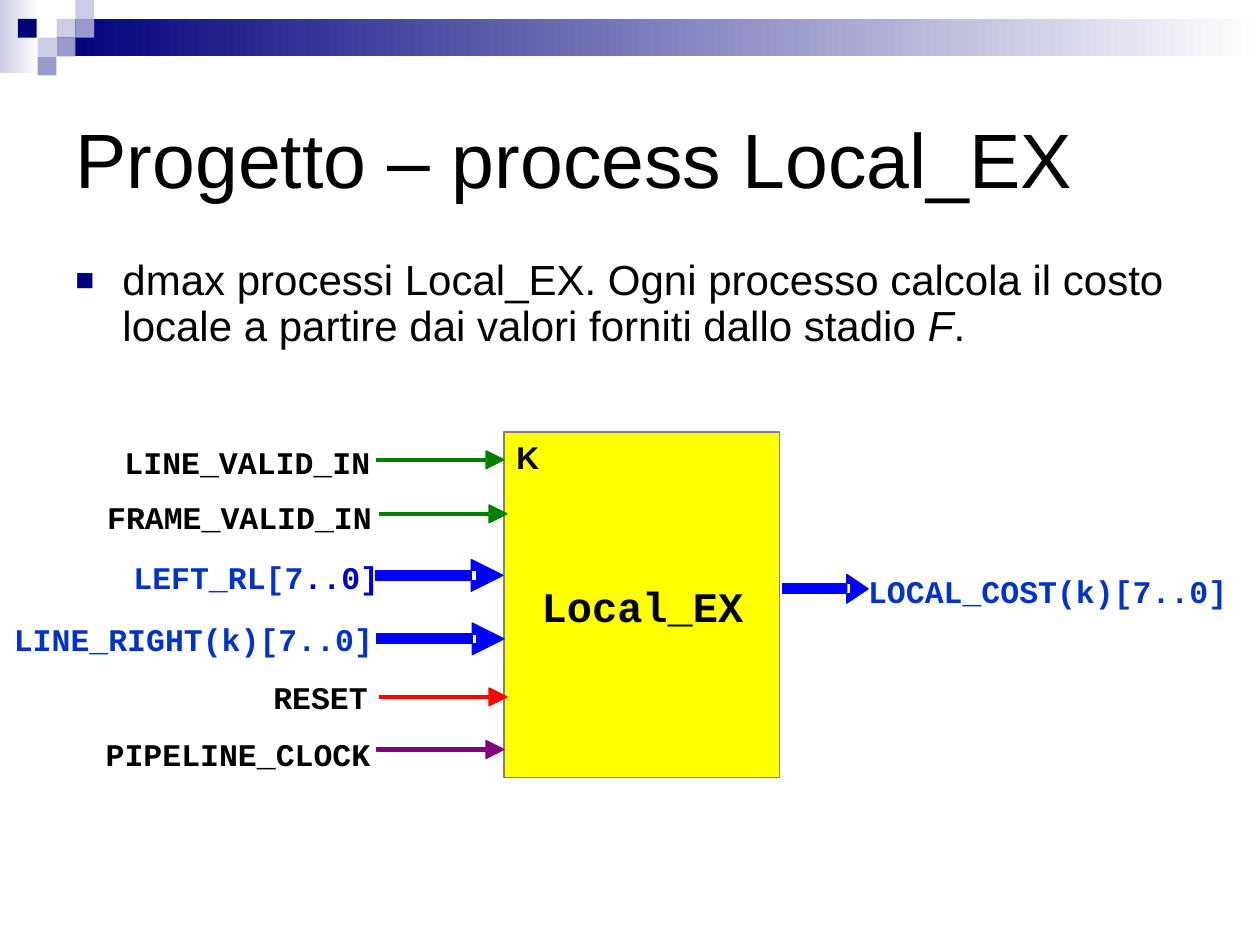
from lxml import etree
from pptx import Presentation
from pptx.dml.color import RGBColor
from pptx.enum.shapes import MSO_SHAPE
from pptx.enum.text import MSO_ANCHOR, PP_ALIGN
from pptx.oxml.ns import qn
from pptx.util import Cm, Pt

RECT = MSO_SHAPE.RECTANGLE
TOP, MIDDLE = MSO_ANCHOR.TOP, MSO_ANCHOR.MIDDLE
LEFT = PP_ALIGN.LEFT
SANS, MONO = "Arial", "Courier New"
BLACK, NAVY, PALE, LILAC, WHITE = "000000", "00007D", "CCCCE6", "9999CC", "FFFFFF"
GREEN, BLUE, RED, PURPLE = "008000", "0000FF", "FF0000", "800080"
SKY, DEEP = "0033CC", "0000CC"
UNIT = 0.38
CHAR = 0.381

THIN = (2.57, 0.36, 0.04, 0.03, 0.18)
THICK = (2.57, 0.64, 0.1, 0.1, 0.32)
SHORT = (1.73, 0.43, 0.07, 0.1, 0.29)

TILES = [(1.14, 1, PALE), (1.52, 0, PALE), (1.52, 1, LILAC), (0.76, 2, PALE),
         (0.36, 1, NAVY), (1.14, 2, LILAC), (0.76, 3, LILAC)]

PORTS = [
    ([("LINE_VALID_IN", BLACK)], 2.51, 8.94, 7.59, 9.27, THIN, GREEN),
    ([("FRAME_VALID_IN", BLACK)], 2.16, 10.03, 7.65, 10.36, THIN, GREEN),
    ([("LEFT_RL[7", SKY), ("..0]", DEEP)], 2.69, 11.25, 7.57, 11.6, THICK, BLUE),
    ([("LINE_RIGHT(k)[7..0]", SKY)], 0.28, 12.5, 7.59, 12.88, THICK, BLUE),
    ([("RESET", BLACK)], 5.51, 13.67, 7.65, 14.05, THIN, RED),
    ([("PIPELINE_CLOCK", BLACK)], 2.13, 14.81, 7.59, 15.11, THIN, PURPLE),
    ([("LOCAL_COST(k)[7..0]", SKY)], 17.5, 11.53, 15.77, 11.87, SHORT, BLUE),
]


def paint(target, color):
    """Set a colour format or a fill to a hex colour."""
    if hasattr(target, "solid"):
        target.solid()
        target = target.fore_color
    target.rgb = RGBColor.from_string(color)


def style(para, size, font, color=BLACK, bold=False):
    """Set the alignment and font of a paragraph."""
    para.alignment = LEFT
    para.font.size = Pt(size)
    para.font.name = font
    para.font.bold = bold
    paint(para.font.color, color)


def add_rect(slide, x, y, w, h, *colors):
    """Add a borderless rectangle with a plain or gradient fill."""
    shape = slide.shapes.add_shape(RECT, Cm(x), Cm(y), Cm(w), Cm(h))
    shape.shadow.inherit = False
    shape.line.fill.background()
    if len(colors) == 1:
        paint(shape.fill, colors[0])
    else:
        shape.fill.gradient()
        shape.fill.gradient_angle = 0
        for stop, color in zip(shape.fill.gradient_stops, colors):
            paint(stop.color, color)
    return shape


def add_label(slide, runs, x, y, size=18):
    """Add a bold monospaced label made of coloured runs."""
    count = sum(len(text) for text, _ in runs)
    width = (count + 1) * CHAR * size / 18
    box = slide.shapes.add_textbox(Cm(x), Cm(y), Cm(width), Cm(size * 0.05))
    frame = box.text_frame
    frame.word_wrap = True
    frame.margin_left = frame.margin_right = 0
    frame.margin_top = frame.margin_bottom = 0
    para = frame.paragraphs[0]
    style(para, size, MONO, runs[0][1], True)
    for text, color in runs:
        run = para.add_run()
        run.text = text
        if len(runs) > 1:
            paint(run.font.color, color)


def add_arrow(slide, x, y, form, color):
    """Add a right-pointing arrow outlined as a shaft and a head."""
    span, head, lap, half, wing = form
    tip, base = x + span, x + span - head
    end = base + lap
    shaft = [(x, y - half), (end, y - half), (end, y + half), (x, y + half)]
    point = [(base, y - wing), (tip, y), (base, y + wing)]
    shaft, point = ([(Cm(a), Cm(b)) for a, b in part] for part in (shaft, point))
    pen = slide.shapes.build_freeform(*shaft[0])
    pen.add_line_segments(shaft[1:], close=True)
    pen.move_to(*point[0])
    pen.add_line_segments(point[1:], close=True)
    shape = pen.convert_to_shape()
    shape.shadow.inherit = False
    paint(shape.fill, color)
    paint(shape.line.fill, color)
    shape.line.width = Pt(0)


def add_title(slide, text):
    """Place and format the slide title."""
    title = slide.shapes.title
    title.left, title.top = Cm(1.27), Cm(1.27)
    title.width, title.height = Cm(22.86), Cm(3.81)
    title.text_frame.text = text
    title.text_frame.vertical_anchor = MIDDLE
    style(title.text_frame.paragraphs[0], 44, SANS)


def add_bullet(para):
    """Give a paragraph a hanging square bullet."""
    props = para._p.get_or_add_pPr()
    props.set("marL", str(Cm(0.95)))
    props.set("indent", str(-Cm(0.95)))
    tint = etree.SubElement(props, qn("a:buClr"))
    etree.SubElement(tint, qn("a:srgbClr"), val=NAVY)
    etree.SubElement(props, qn("a:buSzPct"), val="75000")
    etree.SubElement(props, qn("a:buFont"), typeface=SANS)
    etree.SubElement(props, qn("a:buChar"), char="■")


def add_body(slide, parts):
    """Add the bulleted text from pairs of text and italic flag."""
    box = slide.shapes.add_textbox(Cm(1.27), Cm(5.11), Cm(22.86), Cm(2.82))
    box.text_frame.word_wrap = True
    para = box.text_frame.paragraphs[0]
    para.line_spacing = 0.9
    para.space_before = Pt(6)
    add_bullet(para)
    style(para, 24, SANS)
    for text, slant in parts:
        run = para.add_run()
        run.text = text
        run.font.italic = slant


def add_banner(slide):
    """Add the gradient band and tiles along the top edge."""
    add_rect(slide, 0, 0, 0.79, 1.47, PALE, WHITE)
    add_rect(slide, 1.14, UNIT, 24.26, 2 * UNIT, NAVY, WHITE)
    for x, row, color in TILES:
        add_rect(slide, x, row * UNIT, UNIT, UNIT, color)


def add_block(slide):
    """Add the yellow process block with its index and name."""
    block = add_rect(slide, 10.16, 8.71, 5.56, 6.96, "FFFF00")
    paint(block.line.fill, "808080")
    block.line.width = Pt(0)
    block.text_frame.text = "K"
    block.text_frame.vertical_anchor = TOP
    style(block.text_frame.paragraphs[0], 18, SANS, bold=True)
    add_label(slide, [("Local_EX", BLACK)], 10.92, 11.71, 24)


def main():
    """Build and save the slide."""
    deck = Presentation()
    deck.slide_width, deck.slide_height = Cm(25.4), Cm(19.05)
    slide = deck.slides.add_slide(deck.slide_layouts[5])
    add_banner(slide)
    add_title(slide, "Progetto – process Local_EX")
    add_body(slide, [
        ("dmax processi Local_EX. Ogni processo calcola il costo locale "
         "a partire dai valori forniti dallo stadio ", False),
        ("F", True), (".", False)])
    add_block(slide)
    for runs, x, y, start, mid, form, color in PORTS:
        add_label(slide, runs, x, y)
        add_arrow(slide, start, mid, form, color)
    deck.save("out.pptx")


main()
